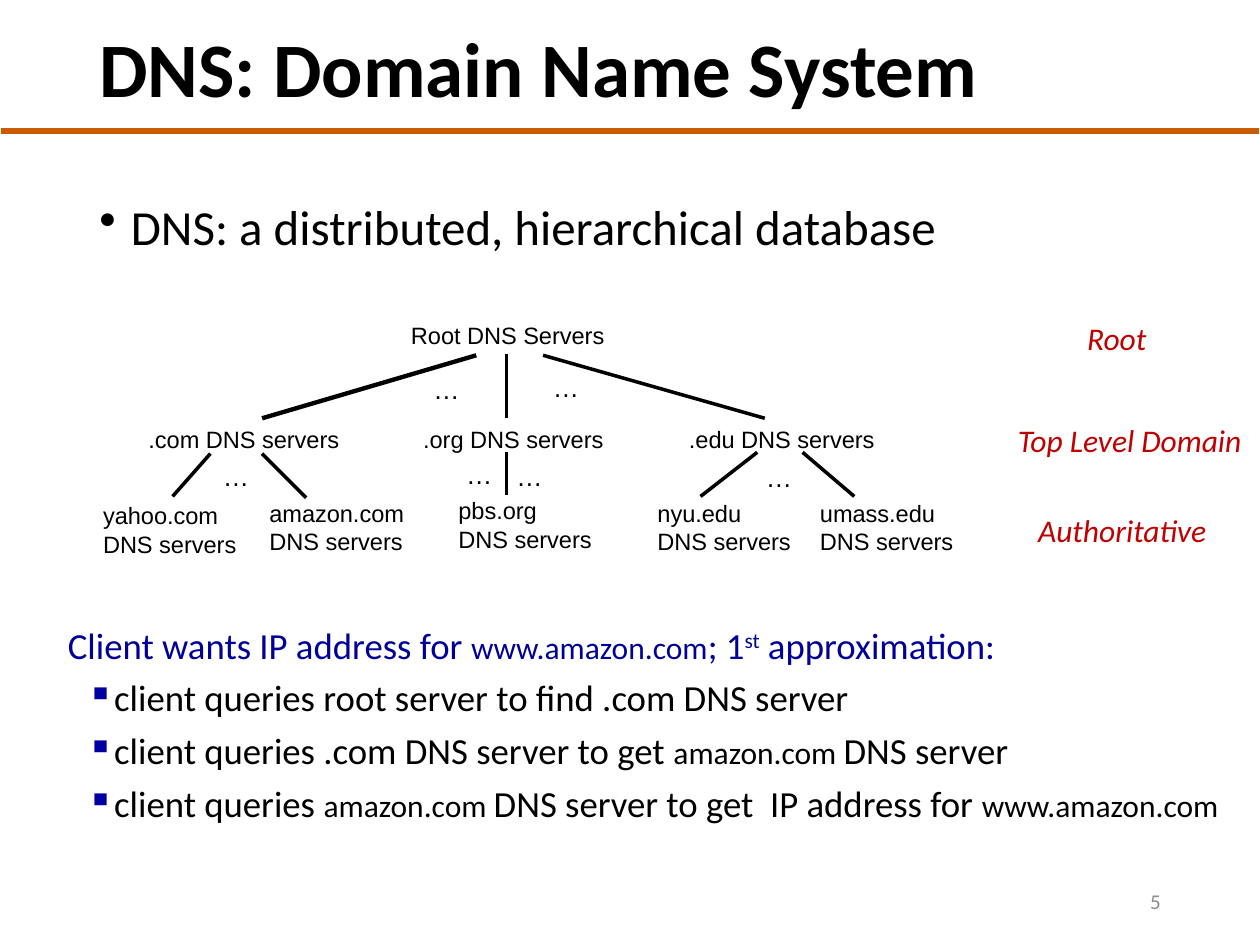
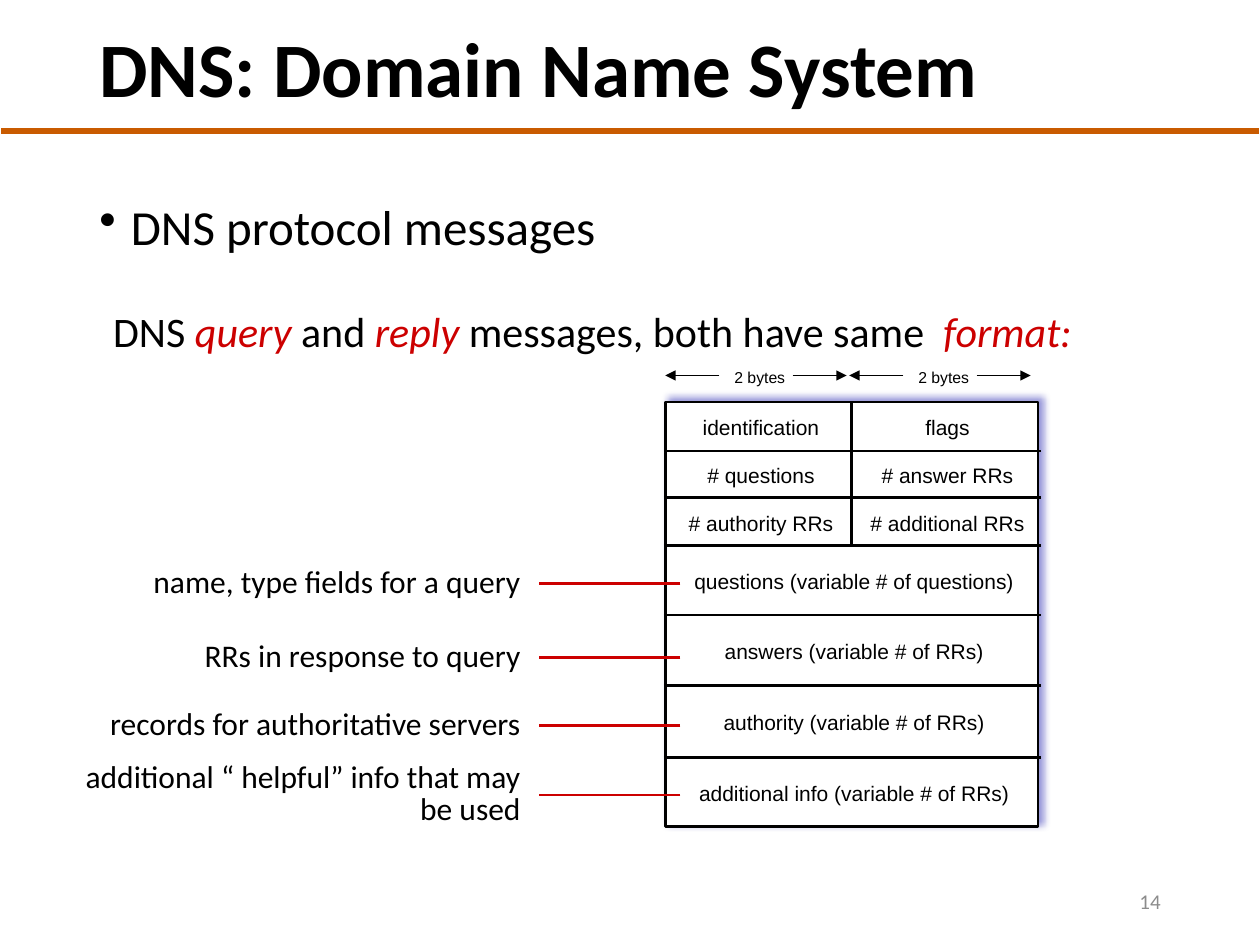
import pptx
import pptx.dml.color
import pptx.enum.shapes
import pptx.enum.text
import pptx.oxml
import pptx.oxml.ns
import pptx.util

Inches, Pt = pptx.util.Inches, pptx.util.Pt
ALIGN = pptx.enum.text.PP_ALIGN
ANCHOR = pptx.enum.text.MSO_ANCHOR
COLORS = {"black": "000000", "white": "FFFFFF", "rule": "C95B00", "page": "8C8C8C",
          "navy": "000099", "bullet": "0000A3", "level": "C00000", "red": "CC0000"}

TITLE = {"name": "Calibri", "size": 44, "bold": True}
BODY = {"name": "Calibri", "size": 28}
LEAD = {"name": "Calibri", "size": 24}
KEYWORD = {**LEAD, "italic": True, "color": "red"}
PAGE = {"name": "Calibri", "size": 12, "color": "page"}
STEP = {"name": "Calibri", "size": 21}
HOST = {"name": "Calibri", "size": 18}
ASK = {**STEP, "color": "navy"}
LEVEL = {**HOST, "italic": True, "color": "level"}
NODE = {"name": "Arial", "size": 13.5}
DOTS = {"name": "Arial", "size": 15}
FIELD = {"name": "Arial", "size": 12}
BYTES = {"name": "Arial", "size": 9}


def rgb(name):
    return pptx.dml.color.RGBColor.from_string(COLORS[name])


def add_xml(parent, xml):
    """Append an element in the drawing namespace."""
    tag, rest = xml.split(" ", 1)
    parent.append(pptx.oxml.parse_xml(f"{tag} {pptx.oxml.ns.nsdecls('a')} {rest}"))


def add_run(p, text, style):
    r = p.add_run()
    r.text = text
    for key, value in style.items():
        if key == "superscript":
            r.font._element.set("baseline", "30000")
        elif key != "color":
            setattr(r.font, key, Pt(value) if key == "size" else value)
    r.font.color.rgb = rgb(style.get("color", "black"))


def add_bullet(p, char, color):
    pPr = p._p.get_or_add_pPr()
    add_xml(pPr, f'<a:buClr ><a:srgbClr val="{COLORS[color]}"/></a:buClr>')
    add_xml(pPr, f'<a:buChar char="{char}"/>')


def set_indent(p, left, first=0):
    pPr = p._p.get_or_add_pPr()
    pPr.set("marL", str(Inches(left)))
    pPr.set("indent", str(Inches(first)))


def add_text(slide, box, paragraphs, anchor=ANCHOR.TOP, wrap=True, **formats):
    """Each paragraph is a list of (text, style) runs; formats apply to all."""
    tf = slide.shapes.add_textbox(*map(Inches, box)).text_frame
    tf.word_wrap, tf.vertical_anchor = wrap, anchor
    for i, runs in enumerate(paragraphs):
        p = tf.add_paragraph() if i else tf.paragraphs[0]
        for key, value in formats.items():
            setattr(p, key, value)
        for text, style in runs:
            add_run(p, text, style)
    return tf


def add_label(slide, left, top, text, style, width=1.3, height=0.35, **formats):
    lines = [[(line, style)] for line in text.split("\n")]
    add_text(slide, (left, top, width, height), lines, wrap=False, **formats)


def add_line(slide, start, end, width, color="black", arrow=False):
    points = map(Inches, (*start, *end))
    line = slide.shapes.add_connector(pptx.enum.shapes.MSO_CONNECTOR.STRAIGHT, *points)
    line.line.width, line.line.color.rgb = Pt(width), rgb(color)
    if arrow:
        add_xml(line.line._get_or_add_ln(), '<a:tailEnd type="triangle"/>')
    add_xml(line._element.spPr, "<a:effectLst />")
    return line


def add_base(prs, topic, number):
    """Blank slide with the rule, title, opening bullet and page number."""
    slide = prs.slides.add_slide(prs.slide_layouts[6])
    add_line(slide, (0.01, 1.04), (9.99, 1.04), 3, "rule")
    add_text(slide, (0.69, 0.15, 7.93, 0.85), [[("DNS: Domain Name System", TITLE)]],
             ANCHOR.MIDDLE, line_spacing=0.9)
    tf = add_text(slide, (0.69, 1.56, 9.12, 0.76), [[(topic, BODY)]], line_spacing=0.9)
    set_indent(tf.paragraphs[0], 0.25, -0.25)
    add_bullet(tf.paragraphs[0], "•", "black")
    add_text(slide, (7.06, 6.95, 2.25, 0.4), [[(str(number), PAGE)]],
             ANCHOR.MIDDLE, alignment=ALIGN.RIGHT)
    return slide


def add_server_tree(slide):
    add_label(slide, 3.15, 2.5, "Root DNS Servers", NODE, 1.76, alignment=ALIGN.CENTER)
    for left, domain, width in ((1.08, ".com", 1.74), (3.26, ".org", 1.65), (5.37, ".edu", 1.7)):
        add_label(slide, left, 3.32, f"{domain} DNS servers", NODE, width)
    for left, top, host in ((0.72, 3.93, "yahoo.com"), (2.04, 3.91, "amazon.com"),
                            (3.54, 3.89, "pbs.org"), (5.12, 3.91, "nyu.edu"),
                            (6.41, 3.91, "umass.edu")):
        add_label(slide, left, top, f"{host}\nDNS servers", NODE, 1.27, 0.56)

    add_line(slide, (3.78, 2.82), (2.08, 3.32), 2.5)
    for start, end in (((4.02, 2.81), (4.02, 3.32)), ((4.31, 2.82), (6.07, 3.32)),
                       ((1.67, 3.6), (1.37, 3.94)), ((2.08, 3.6), (2.43, 3.95)),
                       ((4.02, 3.59), (4.02, 3.93)),
                       ((6.01, 3.59), (5.56, 3.94)), ((6.37, 3.59), (6.78, 3.94))):
        add_line(slide, start, end, 2)
    for left, top in ((3.34, 2.91), (4.29, 2.9), (1.67, 3.6), (3.6, 3.59), (4, 3.6), (5.98, 3.61)):
        add_label(slide, left, top, "…", DOTS, 0.41)

    for left, top, level, width in ((8.53, 2.48, "Root", 0.68), (7.98, 3.29, "Top Level Domain", 2),
                                    (8.14, 4.01, "Authoritative", 1.55)):
        add_label(slide, left, top, level, LEVEL, width, 0.4)


def add_lookup_steps(slide):
    steps = [
        [("Client wants IP address for ", ASK), ("www.amazon.com", {**ASK, "size": 18}),
         ("; 1", ASK), ("st", {**ASK, "superscript": True}), (" approximation:", ASK)],
        [("client queries root server to find .com DNS server", STEP)],
        [("client queries .com DNS server to get ", STEP), ("amazon.com ", HOST),
         ("DNS server", STEP)],
        [("client queries ", STEP), ("amazon.com ", HOST),
         ("DNS server to get  IP address for ", STEP), ("www.amazon.com", HOST)],
    ]
    tf = add_text(slide, (0.39, 4.93, 9.61, 1.75), steps, line_spacing=0.9)
    set_indent(tf.paragraphs[0], 0.05)
    for p in tf.paragraphs[1:]:
        set_indent(p, 0.38, -0.18)
        add_bullet(p, "▪", "bullet")
        p.space_before = Pt(7.5)


def add_message_format(slide):
    left, width = 5.28, 2.96
    half, right = width / 2, left + width
    edges = [3.19, 3.58, 3.95, 4.33, 4.88, 5.44, 6.01, 6.56]
    rows = [["identification", "flags"], ["# questions", "# answer RRs"],
            ["# authority RRs", "# additional RRs"],
            ["questions (variable # of questions)"], ["answers (variable # of RRs)"],
            ["authority (variable # of RRs)"], ["additional info (variable # of RRs)"]]

    box = map(Inches, (left, edges[0], width, edges[-1] - edges[0]))
    frame = slide.shapes.add_shape(pptx.enum.shapes.MSO_SHAPE.RECTANGLE, *box)
    frame.fill.solid()
    frame.fill.fore_color.rgb = rgb("white")
    frame.line.color.rgb, frame.line.width = rgb("black"), Pt(1.5)
    add_xml(frame._element.spPr,
            f'<a:effectLst ><a:outerShdw blurRad="{Pt(4)}" dist="{Pt(3)}" dir="18900000" '
            f'algn="bl" rotWithShape="0"><a:srgbClr val="{COLORS["bullet"]}">'
            '<a:alpha val="40000"/></a:srgbClr></a:outerShdw></a:effectLst>')

    for y in edges[1:-1]:
        add_line(slide, (left - 0.01, y), (right + 0.02, y), 1.5)
    divider = add_line(slide, (left + half, edges[0]), (left + half, edges[3]), 1.5)
    divider.begin_connect(frame, 0)

    for top, bottom, fields in zip(edges, edges[1:], rows):
        cell = width / len(fields)
        for col, field in enumerate(fields):
            add_label(slide, left + col * cell + 0.02, (top + bottom) / 2 - 0.14, field, FIELD,
                      cell, 0.3, alignment=ALIGN.CENTER)

    for middle in (6, 7.46):
        add_label(slide, middle - 0.27, 2.87, "2 bytes", BYTES, 0.61, 0.25)
        for side in (-1, 1):
            add_line(slide, (middle + side * 0.29, 2.98), (middle + side * 0.72, 2.98),
                     0.75, arrow=True)


def add_callouts(slide):
    for y, note in ((4.63, "name, type fields for a query"), (5.22, "RRs in response to query"),
                    (5.76, "records for authoritative servers"),
                    (6.31, "additional “ helpful” info that may be used")):
        add_text(slide, (0.44, y - 0.31, 3.79, 0.62), [[(note, HOST)]], ANCHOR.MIDDLE,
                 alignment=ALIGN.RIGHT, line_spacing=0.85)
        add_line(slide, (5.4, y), (4.28, y), 1.5, "red")


def main():
    prs = pptx.Presentation()
    prs.slide_width, prs.slide_height = Inches(10), Inches(7.5)

    slide = add_base(prs, "DNS: a distributed, hierarchical database", 5)
    add_lookup_steps(slide)
    add_server_tree(slide)

    slide = add_base(prs, "DNS protocol messages", 14)
    lead = [("DNS ", LEAD), ("query ", KEYWORD), ("and ", LEAD), ("reply", KEYWORD),
            (" messages, both have same  ", LEAD), ("format:", KEYWORD)]
    tf = add_text(slide, (0.69, 2.42, 8.52, 0.42), [lead], line_spacing=0.9)
    set_indent(tf.paragraphs[0], 0.11)
    add_message_format(slide)
    add_callouts(slide)

    prs.save("out.pptx")


if __name__ == "__main__":
    main()
